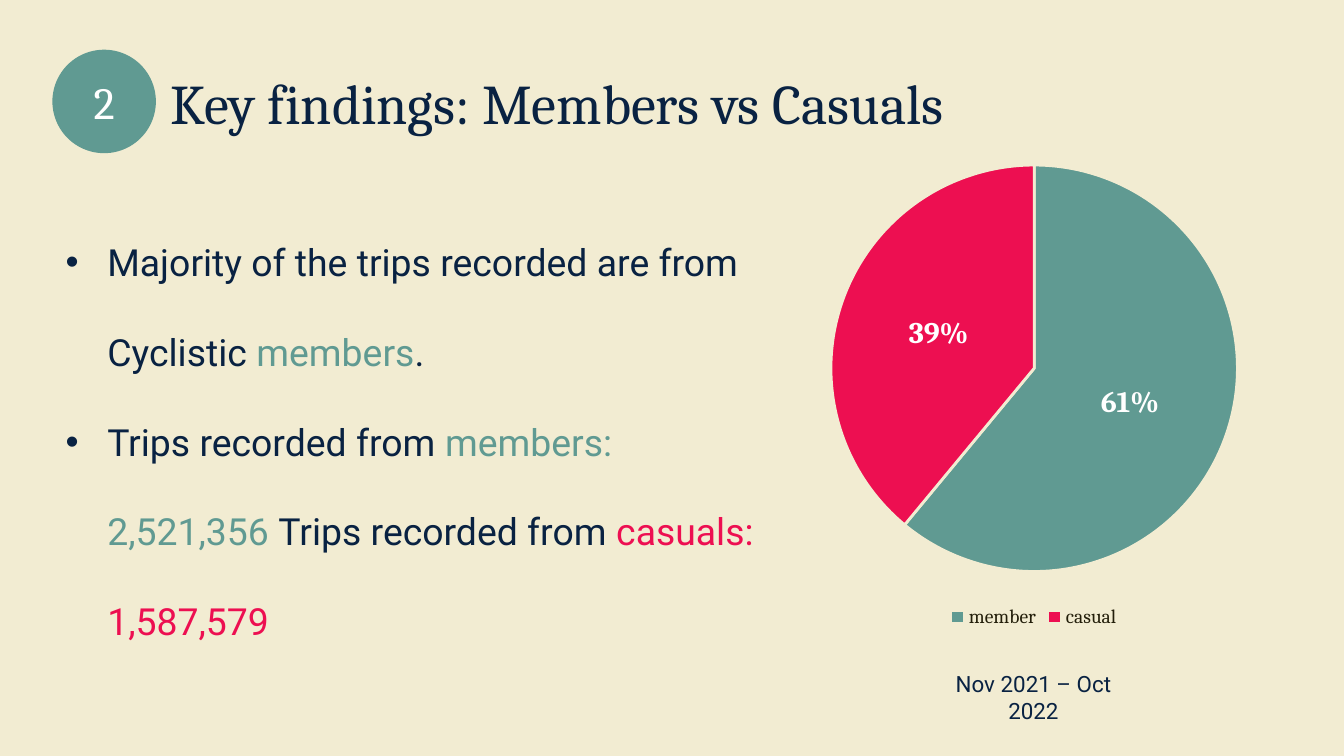
from pptx import Presentation
from pptx.chart.data import CategoryChartData
from pptx.dml.color import RGBColor
from pptx.enum.chart import XL_CHART_TYPE as CT, XL_LABEL_POSITION as LP, XL_LEGEND_POSITION as LG
from pptx.enum.shapes import MSO_SHAPE as SH
from pptx.enum.text import MSO_ANCHOR as AN, PP_ALIGN as AL
from pptx.oxml import parse_xml
from pptx.oxml.ns import nsdecls
from pptx.util import Inches, Pt

THEME = {
    "bg": "F2ECD2", "navy": "092242", "teal": "609A92", "red": "ED0F51",
    "white": "FFFFFF", "legend": "231E0A",
    "serif": "Cambria", "sans": "Roboto",
    "title": 30, "number": 24, "body": 20, "label": 16, "caption": 12, "key": 10.5,
}
TITLE = "Key findings: Members vs Casuals"
NUMBER = "2"
PERIOD = "Nov 2021 – Oct 2022"
FINDINGS = [
    [("Majority of the trips recorded are from Cyclistic ", "navy"),
     ("members", "teal"), (".", "navy")],
    [("Trips recorded from ", "navy"), ("members: 2,521,356 ", "teal"),
     ("Trips recorded from ", "navy"), ("casuals: 1,587,579", "red")],
]
SHARES = [("member", 61, "teal"), ("casual", 39, "red")]


def color(name):
    return RGBColor.from_string(THEME[name])


def style(font, face, size, ink, bold=False):
    font.name, font.size, font.bold = THEME[face], Pt(THEME[size]), bold
    font.color.rgb = color(ink)


def add_text(s, box, paragraphs, face, size, align=AL.LEFT, anchor=AN.TOP):
    tf = s.shapes.add_textbox(*map(Inches, box)).text_frame
    tf.word_wrap, tf.vertical_anchor = True, anchor
    tf.margin_left = tf.margin_right = tf.margin_top = tf.margin_bottom = Inches(0.1)
    for i, runs in enumerate(paragraphs):
        p = tf.add_paragraph() if i else tf.paragraphs[0]
        p.alignment = align
        for text, ink in runs:
            r = p.add_run()
            r.text = text
            style(r.font, face, size, ink)
    return tf


def add_bullet(p):
    pPr = p._p.get_or_add_pPr()
    pPr.set("marL", str(Inches(0.31)))
    pPr.set("indent", str(-Inches(0.31)))
    ns = nsdecls("a")
    for xml in (f'<a:buClr {ns}><a:srgbClr val="{THEME["navy"]}"/></a:buClr>',
                f'<a:buFont {ns} typeface="Arial"/>',
                f'<a:buChar {ns} char="•"/>'):
        pPr.append(parse_xml(xml))
    p.line_spacing = 2.0


def add_pie(s, box):
    data = CategoryChartData()
    data.categories = [name for name, _, _ in SHARES]
    data.add_series("Series 1", [value for _, value, _ in SHARES])
    chart = s.shapes.add_chart(CT.PIE, *map(Inches, box), data).chart
    chart.has_title = False
    chart.has_legend = True
    chart.legend.position = LG.BOTTOM
    chart.legend.include_in_layout = False
    style(chart.legend.font, "serif", "key", "legend")
    plot = chart.plots[0]
    plot.vary_by_categories = True
    for i, (_, _, ink) in enumerate(SHARES):
        fmt = plot.series[0].points[i].format
        fmt.fill.solid()
        fmt.fill.fore_color.rgb = color(ink)
        fmt.line.color.rgb = color("bg")
        fmt.line.width = Pt(1.5)
    labels = plot.series[0].data_labels
    labels.show_percentage, labels.show_value = True, False
    labels.number_format, labels.number_format_is_linked = "0%", False
    labels.position = LP.CENTER
    style(labels.font, "serif", "label", "white", bold=True)


def main():
    """Build the key findings slide."""
    prs = Presentation()
    prs.slide_width, prs.slide_height = Inches(10), Inches(10 * 9 / 16)
    s = prs.slides.add_slide(prs.slide_layouts[6])
    s.background.fill.solid()
    s.background.fill.fore_color.rgb = color("bg")

    add_text(s, (1.17, 0.41, 7.14, 0.52), [[(TITLE, "navy")]], "serif", "title")
    add_text(s, (6.86, 4.89, 1.66, 0.4), [[(PERIOD, "navy")]], "sans", "caption", AL.CENTER)

    badge = s.shapes.add_shape(SH.OVAL, *map(Inches, (0.39, 0.37, 0.77, 0.77)))
    badge.shadow.inherit = False
    badge.fill.solid()
    badge.fill.fore_color.rgb = color("teal")
    badge.line.fill.background()
    add_text(s, (0.39, 0.33, 0.77, 0.85), [[(NUMBER, "white")]], "serif", "number",
             AL.CENTER, AN.MIDDLE)

    add_pie(s, (5.6, 1.09, 4.19, 3.63))
    tf = add_text(s, (0.39, 1.35, 5.42, 3.26), FINDINGS, "sans", "body")
    for p in tf.paragraphs:
        add_bullet(p)
    prs.save("out.pptx")


if __name__ == "__main__":
    main()
